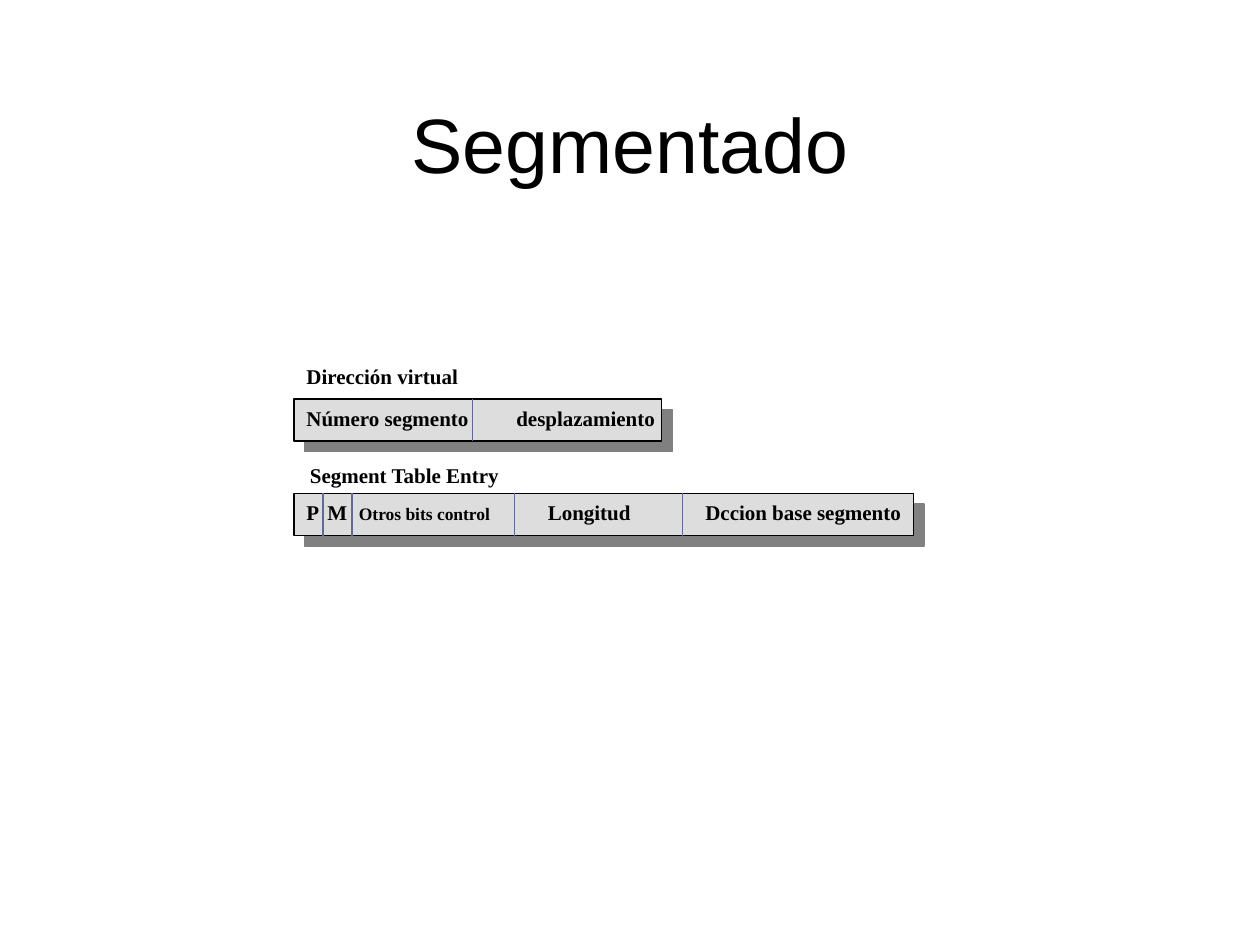
"""Build the "Segmentado" slide: virtual address and segment table entry formats."""
from lxml import etree
from pptx import Presentation
from pptx import util as u
from pptx.dml.color import RGBColor
from pptx.enum import shapes, text
from pptx.oxml import parse_xml
from pptx.oxml.ns import nsdecls, qn

Pt = u.Pt
LEFT, HEIGHT = 168, 24
SHADOW = (
    f'<a:outerShdw {nsdecls("a")} dist="{Pt(8.5)}" dir="2700000" algn="ctr" rotWithShape="0">'
    '<a:srgbClr val="808080"/></a:outerShdw>'
)


def paint(color, value):
    color.rgb = RGBColor.from_string(value)


def add_text(s, words, box, size, font, frame):
    sp = s.shapes.add_textbox(*map(Pt, box))
    tf = sp.text_frame
    for name, value in frame.items():
        setattr(tf, name, value)
    p = tf.paragraphs[0]
    r = p.add_run()
    r.text = words
    for name, value in {"size": Pt(size), **font}.items():
        setattr(r.font, name, value)
    paint(r.font.color, "000000")
    return p


prs = Presentation()
prs.slide_width, prs.slide_height = Pt(720), Pt(540)
s = prs.slides.add_slide(prs.slide_layouts[6])

title_frame = {"word_wrap": True, "vertical_anchor": text.MSO_ANCHOR.BOTTOM}
p = add_text(s, "Segmentado", (36, 21.6, 648, 90), 44, {"name": "Arial"}, title_frame)
p.alignment = text.PP_ALIGN.CENTER

# top, width, dividers, labels as (words, left, top, width, height, size)
formats = [
    (228, 210, [270], [
        ("Dirección virtual", 168, 204, 101.5, 21.6, 12),
        ("Número segmento", 168, 228, 107.3, 21.6, 12),
        ("desplazamiento", 288, 228, 93.6, 21.6, 12),
    ]),
    (282, 354, [184.5, 201, 294, 390], [
        ("Segment Table Entry", 170, 260.6, 123.8, 21.6, 12),
        ("P", 168, 282, 21.6, 21.6, 12),
        ("M", 180, 282, 25.9, 21.6, 12),
        ("Otros bits control", 198, 283.7, 90, 19.4, 10),
        ("Longitud", 306, 282, 61.9, 21.6, 12),
        ("Dccion base segmento", 396, 282, 126.7, 21.6, 12),
    ]),
]
label_font = {"name": "Times New Roman", "bold": True}
label_frame = {"word_wrap": False, "auto_size": text.MSO_AUTO_SIZE.SHAPE_TO_FIT_TEXT}

for top, width, dividers, labels in formats:
    sp = s.shapes.add_shape(shapes.MSO_SHAPE.RECTANGLE, *map(Pt, (LEFT, top, width, HEIGHT)))
    sp.fill.solid()
    paint(sp.fill.fore_color, "DDDDDD")
    paint(sp.line.color, "000000")
    sp.line.width = Pt(1)
    sp.shadow.inherit = False
    sp._element.spPr.find(qn("a:effectLst")).append(parse_xml(SHADOW))

    for x in dividers:
        line = s.shapes.add_connector(
            shapes.MSO_CONNECTOR.STRAIGHT, *map(Pt, (x, top, x, top + HEIGHT)))
        paint(line.line.color, "666699")
        line.line.width = Pt(1)
        etree.SubElement(line._element.spPr, qn("a:effectLst"))

    for words, *box, size in labels:
        add_text(s, words, box, size, label_font, label_frame)

prs.save("out.pptx")
